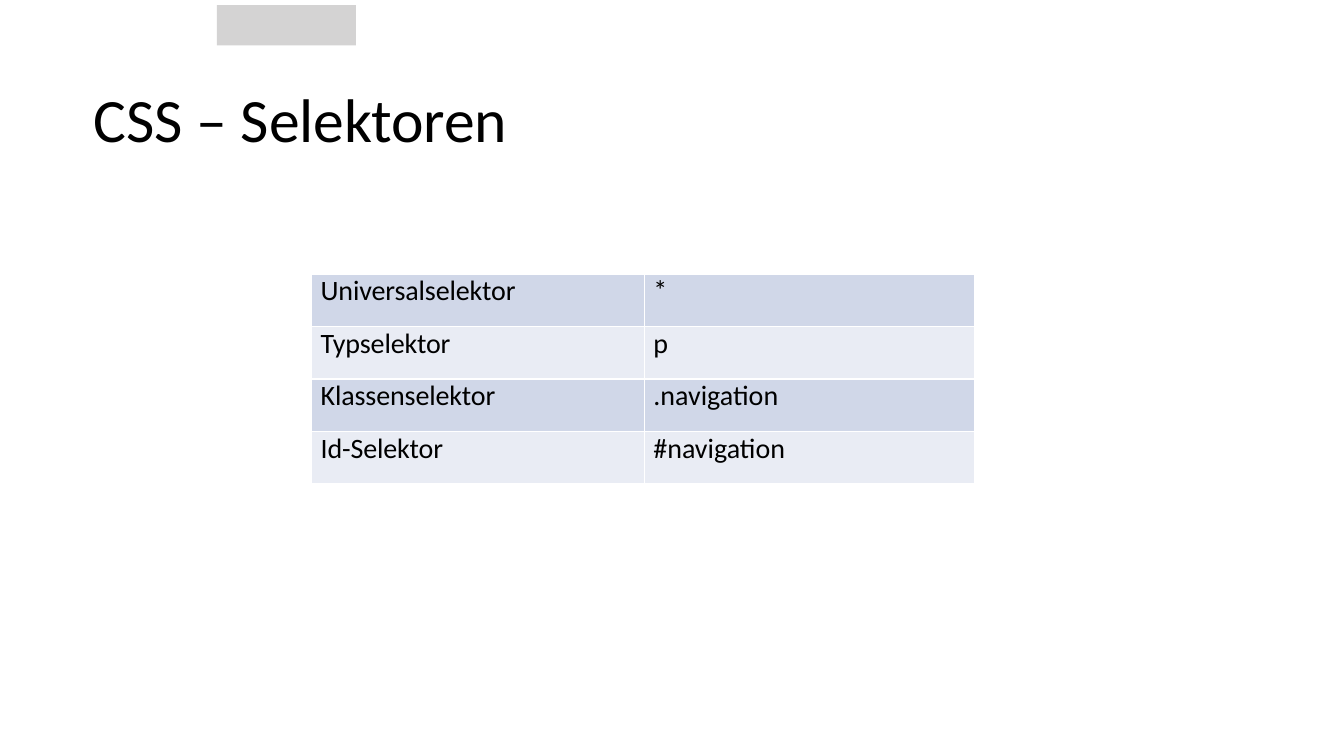
from lxml.etree import SubElement as Sub
from pptx import Presentation
from pptx.dml.color import RGBColor as RGB
from pptx.enum.shapes import MSO_SHAPE as Shape
from pptx.enum.text import MSO_ANCHOR as Anchor
from pptx.oxml.ns import qn
from pptx.util import Pt

# Content
TITLE = "CSS – Selektoren"
ROWS = [
    ("Universalselektor", "*"),
    ("Typselektor", "p"),
    ("Klassenselektor", ".navigation"),
    ("Id-Selektor", "#navigation"),
]

# Theme and layout, lengths in px (100 px to the inch)
THEME = {
    "font": "Calibri", "ink": "000000", "tag": "D4D3D3", "rule": "FFFFFF",
    "bands": ("D0D7E8", "E9ECF4"), "title": 44, "cell": 20, "tight": -10,
}
SIZE = (1333, 750)
TAG = (215, 5, 138, 40)
HEAD = (92, 80, 1150, 74)
GRID = (309, 272)
COLS = (330, 328)
ROW_H = 52
PAD = 9


def px(n):
    return n * 9144


def put(obj, fmt):
    for name, val in fmt.items():
        setattr(obj, name, val)


def write(frame, text, size, spc, left):
    put(frame, {"margin_left": px(left), "margin_right": 0,
                "margin_top": 0, "margin_bottom": 0, "word_wrap": True})
    run = frame.paragraphs[0].add_run()
    run.text = text
    put(run.font, {"name": THEME["font"], "size": Pt(size)})
    run.font.color.rgb = RGB.from_string(THEME["ink"])
    run._r.get_or_add_rPr().set("spc", str(spc))


def paint(fill, tone):
    fill.solid()
    fill.fore_color.rgb = RGB.from_string(tone)


def edge(cell):
    props = cell._tc.get_or_add_tcPr()
    for side in "LRTB":
        line = Sub(props, qn("a:ln" + side), w=str(Pt(1)))
        Sub(Sub(line, qn("a:solidFill")), qn("a:srgbClr"), val=THEME["rule"])


deck = Presentation()
put(deck, {"slide_width": px(SIZE[0]), "slide_height": px(SIZE[1])})
slide = deck.slides.add_slide(deck.slide_layouts[6])
shapes = slide.shapes

# Grey tag at the top
tag = shapes.add_shape(Shape.RECTANGLE, *map(px, TAG))
tag.shadow.inherit = False
paint(tag.fill, THEME["tag"])
tag.line.fill.background()

# Title
head = shapes.add_textbox(*map(px, HEAD)).text_frame
write(head, TITLE, THEME["title"], THEME["tight"], 1)
head.vertical_anchor = Anchor.MIDDLE

# Table of selectors
table = shapes.add_table(len(ROWS), len(COLS), *map(px, GRID),
                         px(sum(COLS)), px(ROW_H * len(ROWS))).table
put(table, {"first_row": False, "horz_banding": False})
for col, wide in zip(table.columns, COLS):
    col.width = px(wide)
for r, row in enumerate(ROWS):
    table.rows[r].height = px(ROW_H)
    for c, text in enumerate(row):
        cell = table.cell(r, c)
        edge(cell)
        paint(cell.fill, THEME["bands"][r % 2])
        spc = 0 if c else THEME["tight"]
        write(cell.text_frame, text, THEME["cell"], spc, 0)
        put(cell, {"margin_left": px(PAD), "margin_right": 0,
                   "margin_top": 0, "margin_bottom": 0})

deck.save("out.pptx")
